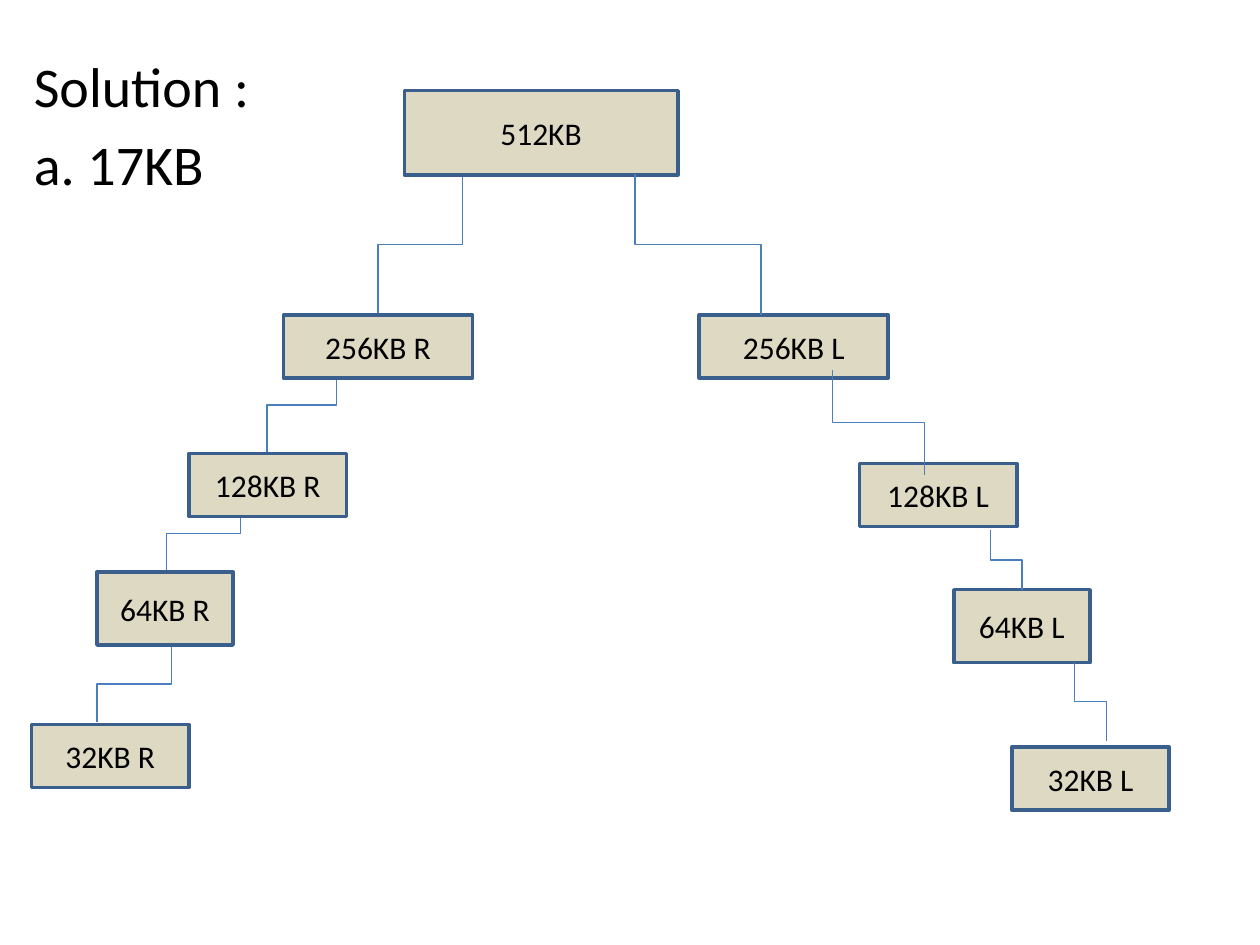
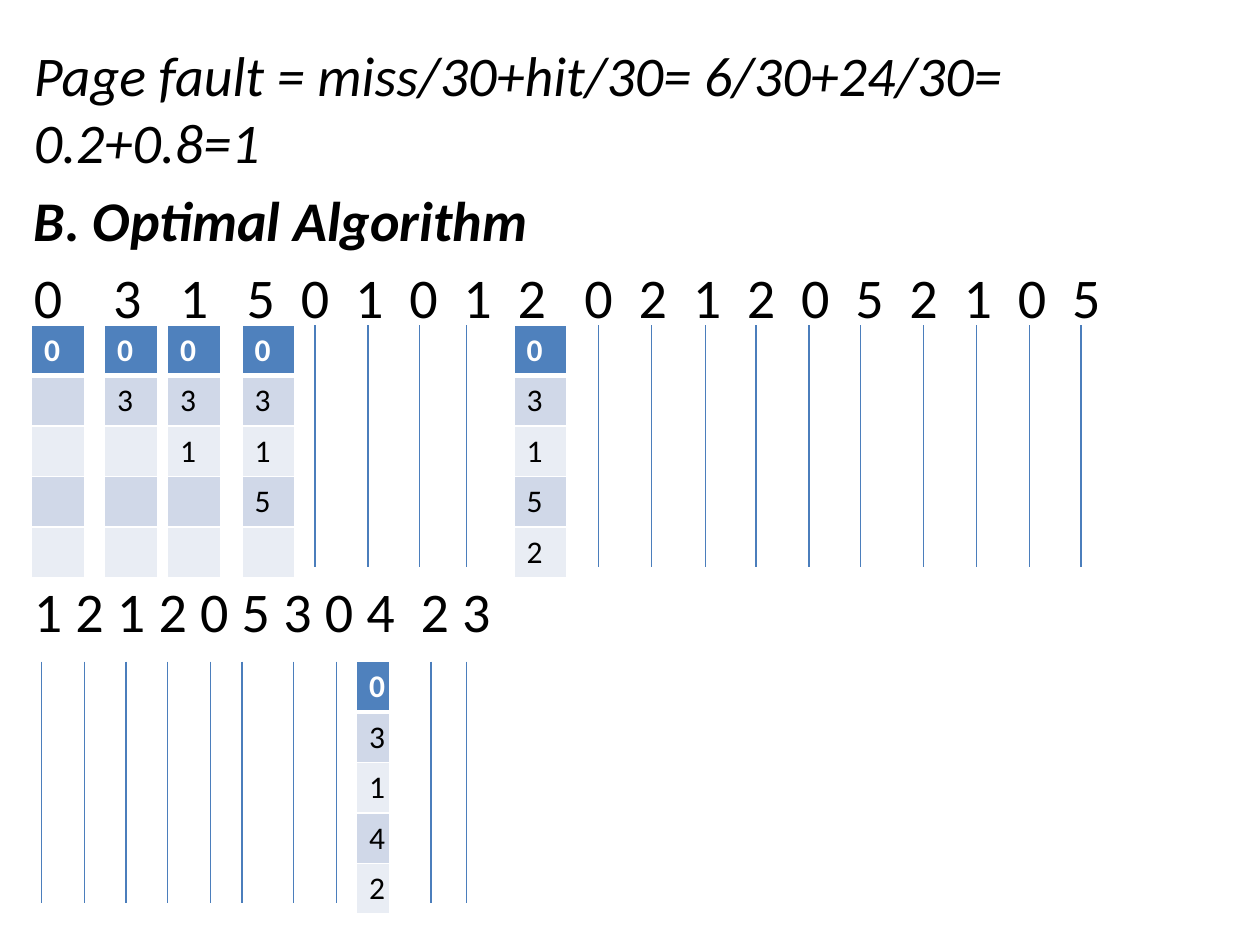
from itertools import accumulate

from lxml.etree import SubElement
from pptx import Presentation
from pptx.dml.color import RGBColor
from pptx.enum.shapes import MSO_CONNECTOR as Link, MSO_SHAPE as Preset
from pptx.enum.text import MSO_ANCHOR as Anchor, PP_ALIGN as Align
from pptx.oxml.ns import qn
from pptx.util import Inches, Pt

BLACK = RGBColor(0x00, 0x00, 0x00)
WHITE = RGBColor(0xFF, 0xFF, 0xFF)
SAND = RGBColor(0xDD, 0xD9, 0xC3)
OUTLINE = RGBColor(0x3A, 0x5F, 0x8C)
LINK_BLUE = RGBColor(0x4B, 0x7E, 0xBC)
HEADER = RGBColor(0x4F, 0x81, 0xBD)
BANDS = (RGBColor(0xE9, 0xED, 0xF4), RGBColor(0xD0, 0xD8, 0xE8))

LARGE = {"name": "Calibri", "size": Pt(32)}
SMALL = {"name": "Calibri", "size": Pt(18)}
PARAGRAPH_GAP = 6
DIGIT_WIDTH, SPACE_WIDTH = 0.23, 0.1
FRAME_COUNT, FRAME_HEIGHT = 5, 0.4
HIT_LENGTH = 1.92

BLOCKS = [
    ("512KB", 3.21, 0.72, 2.17, 0.67),
    ("256KB R", 2.25, 2.5, 1.5, 0.5),
    ("256KB L", 5.55, 2.5, 1.5, 0.5),
    ("128KB R", 1.5, 3.6, 1.25, 0.5),
    ("128KB L", 6.82, 3.68, 1.25, 0.5),
    ("64KB R", 0.77, 4.54, 1.08, 0.58),
    ("64KB L", 7.57, 4.68, 1.08, 0.58),
    ("32KB R", 0.25, 5.75, 1.25, 0.5),
    ("32KB L", 8.03, 5.93, 1.25, 0.5),
]
LEFT_SPLITS = [
    (3.67, 1.38, 3, 2.5),
    (2.67, 2.83, 2.12, 3.6),
    (1.91, 3.93, 1.32, 4.54),
    (1.36, 5.13, 0.77, 5.73),
]
RIGHT_SPLITS = [
    (5.04, 1.38, 6.04, 2.5),
    (6.61, 2.94, 7.34, 3.77),
    (7.86, 4.21, 8.11, 4.68),
    (8.53, 5.26, 8.78, 5.88),
]

FIRST_REFERENCES = "0315010120212052105"
FIRST_GAPS = [4, 3, 3, 2, 2, 2, 2, 2, 3] + [2] * 9
SECOND_REFERENCES = "12120530423"
SECOND_GAPS = [1] * 8 + [2, 1]
FIRST_TOP, SECOND_TOP = 2.58, 5.25
FAULTS = [
    (0.25, FIRST_TOP, 0.42, "0"),
    (0.83, FIRST_TOP, 0.42, "03"),
    (1.33, FIRST_TOP, 0.42, "031"),
    (1.92, FIRST_TOP, 0.42, "0315"),
    (4.08, FIRST_TOP, 0.42, "03152"),
    (2.83, SECOND_TOP, 0.26, "03142"),
]
HITS = {
    FIRST_TOP: [2.5, 2.92, 3.33, 3.7, 4.75, 5.17, 5.6, 6, 6.42, 6.83,
                7.33, 7.75, 8.17, 8.58],
    SECOND_TOP: [0.33, 0.67, 1, 1.33, 1.67, 1.92, 2.33, 2.67, 3.42, 3.7],
}


class Deck:
    """Holds the shared style and the slide being built."""

    def __init__(self):
        self.deck = Presentation()
        self.deck.slide_width, self.deck.slide_height = Inches(10), Inches(7.5)

    def new_slide(self):
        self.shapes = self.deck.slides.add_slide(self.deck.slide_layouts[6]).shapes

    def label(self, paragraph, text, style, color=BLACK, **extra):
        run = paragraph.add_run()
        run.text = text
        for attribute, value in {**style, **extra}.items():
            setattr(run.font, attribute, value)
        run.font.color.rgb = color

    def body(self, top, height, lines):
        box = self.shapes.add_textbox(Inches(0.17), Inches(top), Inches(9.67), Inches(height))
        frame = box.text_frame
        frame.word_wrap = True
        for index, (text, gap, stops, extra) in enumerate(lines):
            paragraph = frame.add_paragraph() if index else frame.paragraphs[0]
            if index:
                paragraph.space_before = Pt(gap)
            if stops:
                tabs = SubElement(paragraph._p.get_or_add_pPr(), qn("a:tabLst"))
                for stop in stops:
                    SubElement(tabs, qn("a:tab"), pos=str(Inches(stop)), algn="l")
            self.label(paragraph, text, LARGE, **extra)

    def block(self, size, *place):
        block = self.shapes.add_shape(Preset.RECTANGLE, *map(Inches, place))
        block.shadow.inherit = False
        block.fill.solid()
        block.fill.fore_color.rgb = SAND
        block.line.color.rgb = OUTLINE
        block.line.width = Pt(2)
        block.text_frame.vertical_anchor = Anchor.MIDDLE
        paragraph = block.text_frame.paragraphs[0]
        paragraph.alignment = Align.CENTER
        self.label(paragraph, size, SMALL)

    def link(self, kind, *ends):
        link = self.shapes.add_connector(kind, *map(Inches, ends))
        link.line.color.rgb = LINK_BLUE
        link.line.width = Pt(0.75)
        SubElement(link._element.spPr, qn("a:effectLst"))
        return link

    def split(self, x1, y1, x2, y2):
        center_x, center_y = (x1 + x2) / 2, (y1 + y2) / 2
        reach, half_width = (y2 - y1) / 2, abs(x2 - x1) / 2
        side, turn = (1, 270) if x2 > x1 else (-1, 90)
        link = self.link(Link.ELBOW, center_x + side * reach, center_y - half_width,
                         center_x - side * reach, center_y + half_width)
        link._element.spPr.find(qn("a:xfrm")).set("rot", str(turn * 60000))

    def border(self, cell, bottom):
        properties = cell._tc.get_or_add_tcPr()
        for side, width in {"L": 1, "R": 1, "T": 1, "B": bottom}.items():
            edge = SubElement(properties, qn(f"a:ln{side}"), w=str(Pt(width)))
            fill = SubElement(edge, qn("a:solidFill"))
            SubElement(fill, qn("a:srgbClr"), val=str(WHITE))

    def frames(self, left, top, width, pages):
        place = map(Inches, (left, top, width, FRAME_COUNT * FRAME_HEIGHT))
        table = self.shapes.add_table(FRAME_COUNT, 1, *place).table
        for row in range(FRAME_COUNT):
            cell = table.cell(row, 0)
            self.border(cell, 1 if row else 3)
            cell.fill.solid()
            cell.fill.fore_color.rgb = BANDS[row % 2] if row else HEADER
            paragraph = cell.text_frame.paragraphs[0]
            paragraph.font.size = SMALL["size"]
            if row < len(pages):
                self.label(paragraph, pages[row], SMALL, BLACK if row else WHITE, bold=row == 0)


def reference_line(references, gaps, space_before):
    stops = accumulate(DIGIT_WIDTH + SPACE_WIDTH * gap for gap in gaps)
    return "\t".join(references), space_before, list(stops), {}


def buddy_tree(deck):
    deck.new_slide()
    deck.body(0.36, 6.8, [("Solution :", 0, [], {}), ("a. 17KB", PARAGRAPH_GAP, [], {})])
    for ends in LEFT_SPLITS:
        deck.split(*ends)
    for block in BLOCKS:
        deck.block(*block)
    for ends in RIGHT_SPLITS:
        deck.split(*ends)


def optimal_algorithm(deck):
    deck.new_slide()
    deck.body(0.27, 7.06, [
        ("Page fault = miss/30+hit/30= 6/30+24/30= 0.2+0.8=1", 0, [], {"italic": True}),
        ("B. Optimal Algorithm", PARAGRAPH_GAP, [], {"bold": True, "italic": True}),
        reference_line(FIRST_REFERENCES, FIRST_GAPS, PARAGRAPH_GAP),
        reference_line(SECOND_REFERENCES, SECOND_GAPS, 141),
    ])
    for fault in FAULTS:
        deck.frames(*fault)
    for top, columns in HITS.items():
        for x in columns:
            deck.link(Link.STRAIGHT, x, top, x, top + HIT_LENGTH)


def main():
    deck = Deck()
    buddy_tree(deck)
    optimal_algorithm(deck)
    deck.deck.save("out.pptx")


if __name__ == "__main__":
    main()
